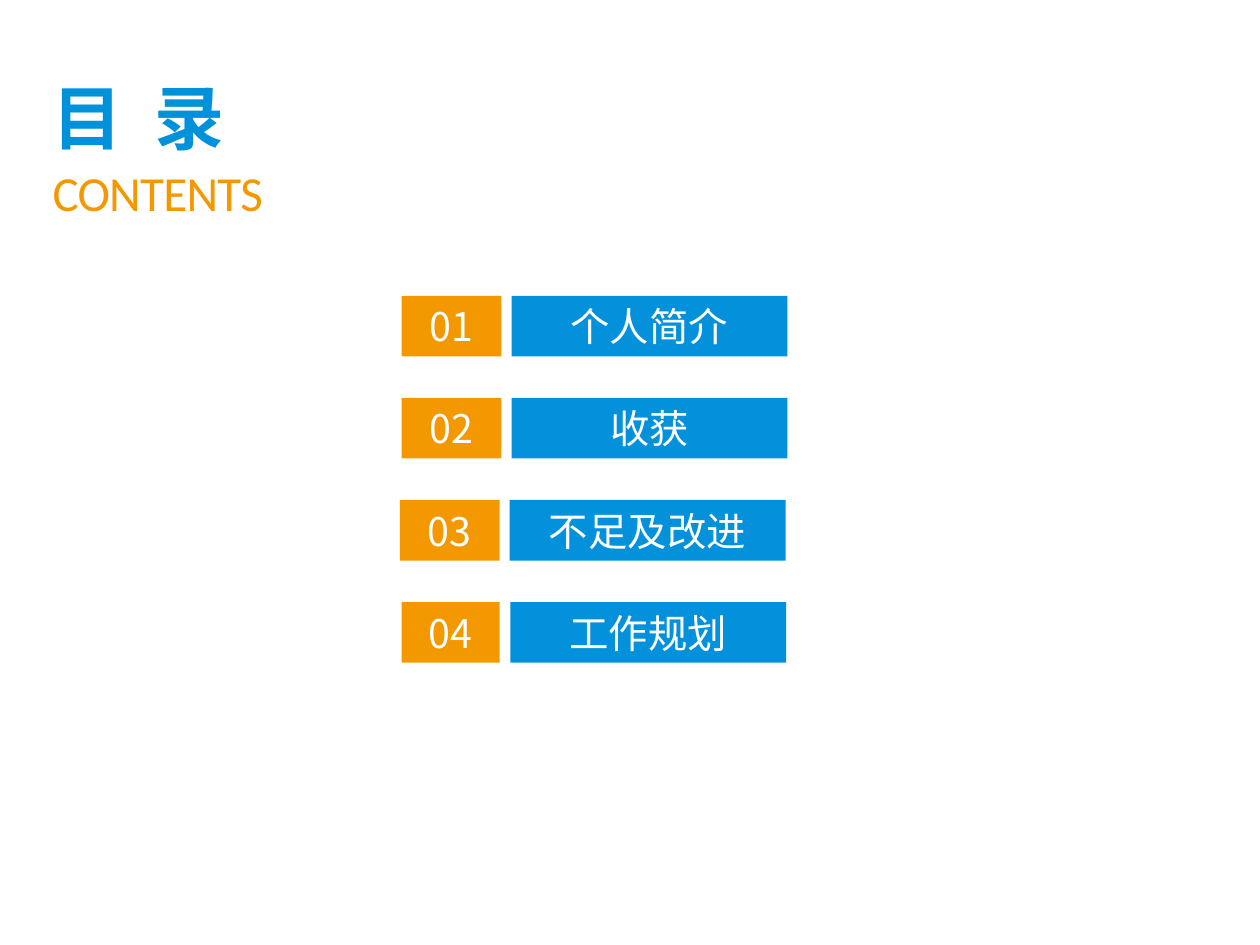
from lxml import etree
from pptx import Presentation
from pptx.dml.color import RGBColor
from pptx.enum.shapes import MSO_SHAPE
from pptx.enum.text import MSO_ANCHOR, PP_ALIGN
from pptx.oxml.ns import qn
from pptx.util import Pt

RECTANGLE = MSO_SHAPE.RECTANGLE
MIDDLE = MSO_ANCHOR.MIDDLE
LEFT, CENTER, JUSTIFY = PP_ALIGN.LEFT, PP_ALIGN.CENTER, PP_ALIGN.JUSTIFY
CHINESE_FONT = "Noto Sans CJK SC"
BLUE, ORANGE, WHITE = "0391DC", "F49800", "FFFFFF"


def color(value):
    return RGBColor.from_string(value)


def write(shape, text, alignment, text_color, font_format):
    frame = shape.text_frame
    frame_format = {"word_wrap": True, "vertical_anchor": MIDDLE,
                    "margin_top": 0, "margin_bottom": 0}
    for name, value in frame_format.items():
        setattr(frame, name, value)
    paragraph = frame.paragraphs[0]
    paragraph.alignment = alignment
    run = paragraph.add_run()
    run.text = text
    for name, value in font_format.items():
        setattr(run.font, name, value)
    run.font.color.rgb = color(text_color)
    properties = run.font._element
    etree.SubElement(properties, qn("a:ea"), typeface=font_format["name"])
    return properties


presentation = Presentation()
presentation.slide_width = Pt(720)
presentation.slide_height = Pt(540)
slide = presentation.slides.add_slide(presentation.slide_layouts[6])

title = slide.shapes.add_textbox(Pt(23), Pt(38.9), Pt(253.4), Pt(55.4))
write(title, "目  录", LEFT, "0091DB",
      {"name": CHINESE_FONT, "size": Pt(40), "bold": True})

subtitle = slide.shapes.add_textbox(Pt(23), Pt(89.3), Pt(163.4), Pt(41))
subtitle_properties = write(subtitle, "CONTENTS", JUSTIFY, ORANGE,
                            {"name": "Calibri", "size": Pt(28)})
subtitle_properties.set("spc", "-40")

row_top, row_pitch, row_height = 169.1, 58.3, 34.6
entries = [
    ("个人简介", 229.5, 57.1, 292.3),
    ("收获", 229.5, 57.1, 292.3),
    ("不足及改进", 228.5, 57.1, 291.2),
    ("工作规划", 229.5, 56, 291.6),
]
entry_font = {"name": CHINESE_FONT, "size": Pt(22.5)}

for index, (topic, number_left, number_width, topic_left) in enumerate(entries):
    top = row_top + index * row_pitch
    bars = [
        (f"{index + 1:02d}", number_left, number_width, ORANGE),
        (topic, topic_left, 157.7, BLUE),
    ]
    for text, left, width, fill in bars:
        bar = slide.shapes.add_shape(RECTANGLE, Pt(left), Pt(top), Pt(width), Pt(row_height))
        bar.shadow.inherit = False
        bar.fill.solid()
        bar.fill.fore_color.rgb = color(fill)
        bar.line.fill.background()
        write(bar, text, CENTER, WHITE, entry_font)

presentation.save("out.pptx")
